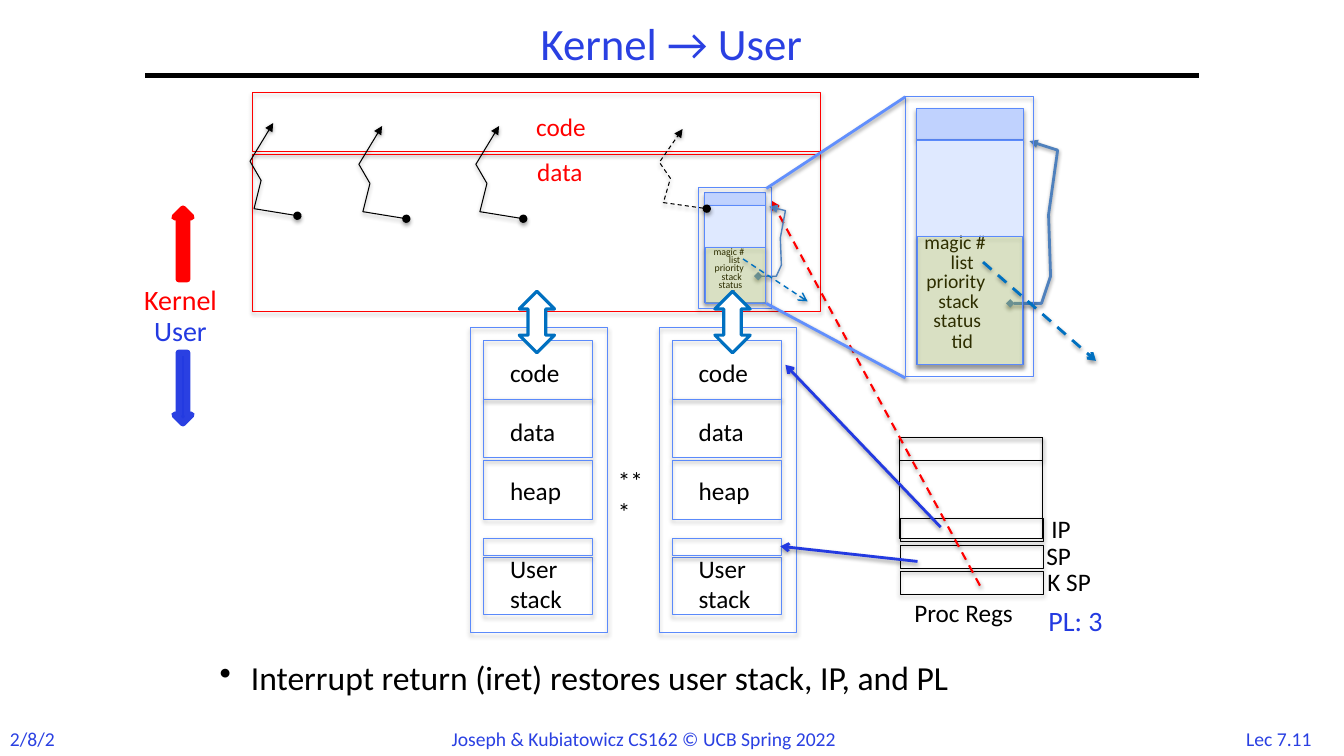
from lxml import etree
from pptx import Presentation
from pptx.dml.color import RGBColor
from pptx.enum.dml import MSO_LINE
from pptx.enum.shapes import MSO_CONNECTOR, MSO_SHAPE
from pptx.enum.text import MSO_ANCHOR, PP_ALIGN
from pptx.oxml.ns import qn
from pptx.util import Emu, Pt

RECT = MSO_SHAPE.RECTANGLE
UP_DOWN, UP, DOWN = MSO_SHAPE.UP_DOWN_ARROW, MSO_SHAPE.UP_ARROW, MSO_SHAPE.DOWN_ARROW
STRAIGHT, DASH = MSO_CONNECTOR.STRAIGHT, MSO_LINE.DASH
LEFT, CENTER = PP_ALIGN.LEFT, PP_ALIGN.CENTER
TOP, MIDDLE = MSO_ANCHOR.TOP, MSO_ANCHOR.MIDDLE

BLACK, WHITE, RED, YELLOW = "000000", "FFFFFF", "FF0000", "FFFF00"
TITLE_BLUE, USER_BLUE, BOX_BLUE = "2A40E2", "233AE1", "5B8AFB"
ARROW_BLUE, STEEL, ZOOM_BLUE = "0070C0", "4F81BD", "618FFD"
HEADER_FILL, BODY_FILL = "C0D2FE", "DFE9FF"


def px(length):
    """100 px make one inch."""
    return Emu(round(length) * 9144)


def colour(value):
    return RGBColor.from_string(value)


class Slide:
    font = "Calibri"

    def __init__(self, page):
        self.shapes = page.shapes

    def effect(self, shape, shadow, alpha=35, distance=1.8):
        effects = etree.SubElement(shape.element.spPr, qn("a:effectLst"))
        if shadow:
            outer = etree.SubElement(effects, qn("a:outerShdw"), blurRad=str(Pt(3.1)),
                                     dist=str(Pt(distance)), dir="5400000", rotWithShape="0")
            shade = etree.SubElement(outer, qn("a:srgbClr"), val=BLACK)
            etree.SubElement(shade, qn("a:alpha"), val=str(alpha * 1000))

    def stroke(self, shape, line, width, dashed=False, head=None, tail=None):
        shape.line.color.rgb = colour(line)
        shape.line.width = Pt(width)
        if dashed:
            shape.line.dash_style = DASH
        outline = shape.element.spPr.find(qn("a:ln"))
        for tag, kind in (("a:headEnd", head), ("a:tailEnd", tail)):
            if kind:
                etree.SubElement(outline, qn(tag), type=kind)

    def shape(self, x, y, width, height, line=BOX_BLUE, fill=None, alpha=None,
              kind=RECT, weight=0.75, shadow=True):
        shape = self.shapes.add_shape(kind, px(x), px(y), px(width), px(height))
        if fill:
            shape.fill.solid()
            shape.fill.fore_color.rgb = colour(fill)
            if alpha:
                tone = shape.element.spPr.find(qn("a:solidFill"))[0]
                etree.SubElement(tone, qn("a:alpha"), val=str(alpha * 1000))
        else:
            shape.fill.background()
        self.stroke(shape, line, weight)
        self.effect(shape, shadow)

    def line(self, start, end, line, width, dashed=False, tail=None, shadow=True):
        connector = self.shapes.add_connector(STRAIGHT, *map(px, (*start, *end)))
        self.stroke(connector, line, width, dashed, tail=tail)
        self.effect(connector, shadow, 38, 1.6)

    def polyline(self, points, line, width, head, dashed=False):
        corners = [(px(x), px(y)) for x, y in points]
        builder = self.shapes.build_freeform(*corners[0], scale=1.0)
        builder.add_line_segments(corners[1:], close=False)
        shape = builder.convert_to_shape()
        shape.fill.background()
        self.stroke(shape, line, width, dashed, head, "triangle")
        self.effect(shape, True, 38, 1.6)

    def text(self, words, x, y, width, height=40, size=18, ink=BLACK, align=LEFT,
             anchor=TOP, spacing=None, bullet=False):
        box = self.shapes.add_textbox(px(x), px(y), px(width), px(height))
        frame = box.text_frame
        frame.word_wrap = True
        frame.vertical_anchor = anchor
        frame.text = words
        for para in frame.paragraphs:
            para.alignment = align
            if spacing:
                para.line_spacing = spacing
            if bullet:
                properties = para._p.get_or_add_pPr()
                properties.set("marL", str(px(31)))
                properties.set("indent", str(px(-31)))
                etree.SubElement(properties, qn("a:buChar"), char="•")
            for span in para.runs:
                span.font.name = self.font
                span.font.size = Pt(size)
                span.font.color.rgb = colour(ink)

    def process(self, x):
        """User address space: frame, segments and their labels."""
        for y, height in ((553, 57), (534, 17), (338, 58), (396, 58), (457, 58)):
            self.shape(x + 13, y, 108, height)
        for words, y, height in (("code", 350, 40), ("data", 408, 40),
                                 ("heap", 467, 40), ("User\nstack", 544, 71)):
            self.text(words, x + 29, y, 79, height)
        self.shape(x, 325, 136, 303)

    def zigzag(self, x, y, stretch=1.0, dashed=False):
        """Thread of execution, drawn from its dot up to its arrowhead."""
        steps = ((0, 0), (-43, -7), (-36, -35), (-47, -54), (-24, -92))
        self.polyline([(x + dx, y + dy * stretch) for dx, dy in steps],
                      BLACK, 0.75, "oval", dashed)

    def kernel_stack(self, x, y, across, down, size, text_top, pitch, text_height, width):
        """Thread control block and kernel stack, sized by across and down."""
        def place(dx, dy):
            return x + dx * across, y + dy * down

        def part(dx, dy, part_width, height, **look):
            self.shape(*place(dx, dy), part_width * across, height * down, **look)

        part(11, 12, 106, 30, fill=HEADER_FILL)
        part(11, 43, 106, 223, fill=BODY_FILL)
        fields = (("tid", 36, 21), ("status", 18, 52), ("stack", 23, 46),
                  ("priority", 11, 60), ("list", 35, 24), ("magic #", 9, 69))
        for row, (words, dx, room) in enumerate(fields):
            self.text(words, x + dx * across, text_top - row * pitch,
                      room * size / 14 + 20, text_height, size)
        pointer = ((104, 205), (135, 205), (144, 178), (142, 117), (151, 53), (123, 44))
        self.polyline([place(*point) for point in pointer], STEEL, width, "diamond")
        part(12, 139, 104, 127, fill=YELLOW, alpha=18)
        part(0, 0, 127, 278)
        self.line(place(77, 164), place(189, 262), ARROW_BLUE, width, True, "arrow")


def main():
    deck = Presentation()
    deck.slide_width, deck.slide_height = px(1333), px(750)
    slide = Slide(deck.slides.add_slide(deck.slide_layouts[6]))

    # Footer, title and bullet
    slide.text("Lec 7.11", 1220, 716, 97, 33, 14, TITLE_BLUE, CENTER)
    slide.text("2/8/22", 0, 716, 74, 34, 14, TITLE_BLUE)
    slide.line((144, 75), (1189, 75), BLACK, 3, shadow=False)
    slide.text("Joseph & Kubiatowicz CS162 © UCB Spring 2022", 438, 716, 455, 34, 14, TITLE_BLUE)
    slide.text("Kernel → User", 144, 17, 1044, 58, 32, TITLE_BLUE, CENTER, MIDDLE, 0.9)
    slide.text("Interrupt return (iret) restores user stack, IP, and PL",
               208, 651, 900, 64, 24, spacing=0.9, bullet=True)

    # User processes
    for x in (654, 467):
        slide.process(x)
    slide.text("***", 603, 457, 50)

    # Kernel code and data
    slide.shape(250, 92, 564, 58, RED)
    slide.text("code", 522, 106, 75, ink=RED)
    slide.text("data", 523, 150, 69, ink=RED)
    slide.shape(250, 153, 564, 156, RED)

    # Processor registers
    slide.shape(892, 434, 142, 100, BLACK)
    slide.shape(892, 434, 142, 23, BLACK)
    for name, x, y in (("IP", 1033, 514), ("SP", 1028, 541), ("K SP", 1029, 567)):
        slide.shape(893, y, 142, 23, BLACK)
        slide.text(name, x, y - 10, 78)
    slide.text("Proc Regs", 897, 588, 138)
    slide.text("PL: 3", 1030, 594, 86, 44, 20, USER_BLUE)
    slide.line((910, 557), (774, 542), USER_BLUE, 2, tail="arrow")
    slide.line((972, 581), (765, 199), RED, 1.5, True, "arrow")
    slide.line((933, 523), (779, 362), USER_BLUE, 2, tail="arrow")

    # Kernel threads
    for x, y in ((295, 214), (403, 217), (519, 217)):
        slide.zigzag(x, y)

    # Kernel stack, in place and enlarged
    slide.kernel_stack(693, 186, 0.57, 0.43, 7, 280, 8.2, 22, 1)
    slide.kernel_stack(898, 96, 1, 1, 14, 321, 19.6, 34, 2)
    slide.line((760, 187), (898, 96), ZOOM_BLUE, 2)
    slide.line((760, 301), (898, 375), ZOOM_BLUE, 2)
    slide.zigzag(701, 207, 0.86, True)

    # Crossings between kernel and user
    for x in (515, 709):
        slide.shape(x, 289, 35, 61, ARROW_BLUE, WHITE, kind=UP_DOWN, weight=2.25, shadow=False)

    # Mode legend
    slide.text("Kernel", 133, 275, 101, 44, 20, RED)
    slide.text("User", 143, 306, 79, 44, 20, USER_BLUE)
    slide.shape(173, 350, 17, 70, TITLE_BLUE, USER_BLUE, kind=DOWN, weight=4.5, shadow=False)
    slide.shape(173, 207, 17, 70, RED, RED, kind=UP, weight=4.5, shadow=False)

    deck.save("out.pptx")


if __name__ == "__main__":
    main()
